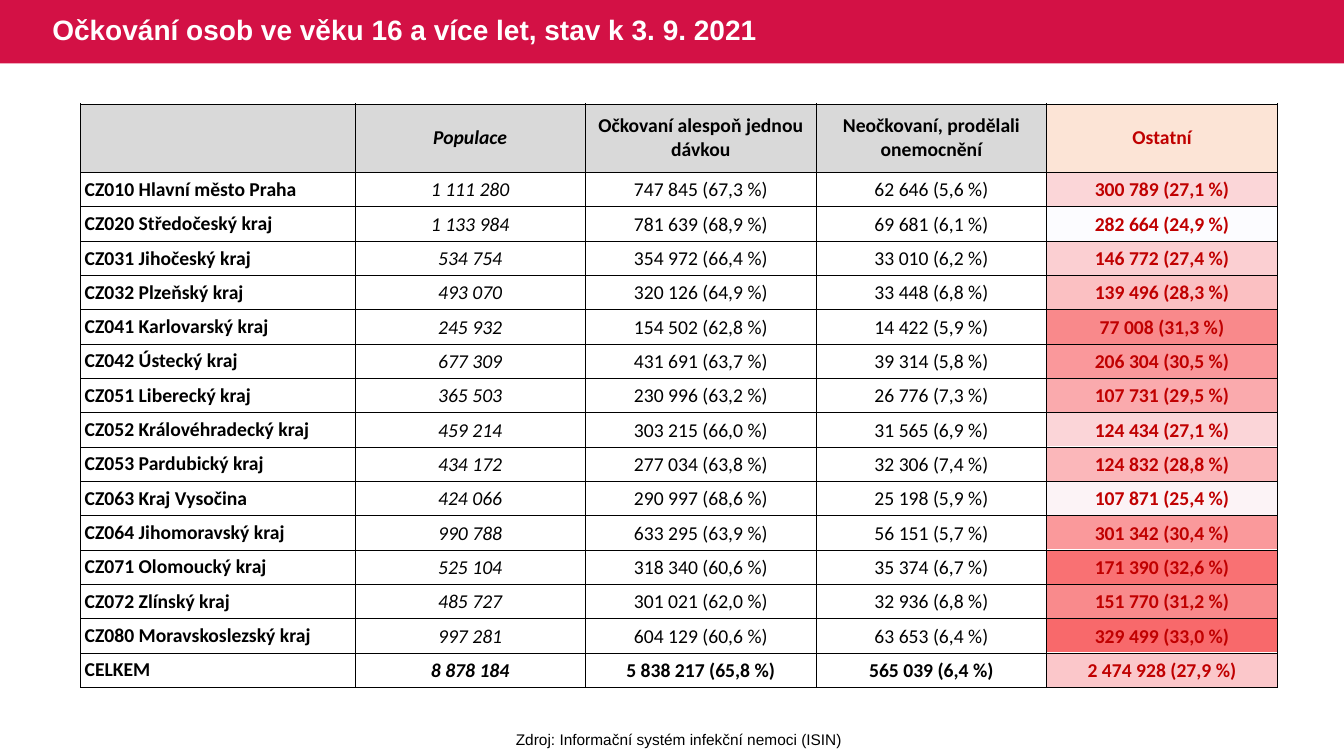
from dataclasses import dataclass

from lxml.etree import SubElement
from pptx import Presentation
from pptx.dml.color import RGBColor
from pptx.enum.shapes import MSO_SHAPE
from pptx.enum.text import MSO_ANCHOR, PP_ALIGN
from pptx.oxml.ns import qn
from pptx.util import Inches, Pt


@dataclass(frozen=True)
class Theme:
    """Colours, fonts and type sizes of the slide."""
    banner: str = "D31145"
    header: str = "D9D9D9"
    header_accent: str = "FCE4D6"
    accent: str = "C00000"
    ink: str = "000000"
    white: str = "FFFFFF"
    heading_font: str = "Arial"
    table_font: str = "Calibri"
    title_size: int = 20
    table_size: int = 14
    source_size: int = 11
    border_width: float = 0.5


HEADERS = ("", "Populace", "Očkovaní alespoň jednou dávkou",
           "Neočkovaní, prodělali onemocnění", "Ostatní")
REGIONS = (
    ("CZ010 Hlavní město Praha", "1 111 280", "747 845 (67,3 %)", "62 646 (5,6 %)", "300 789 (27,1 %)"),
    ("CZ020 Středočeský kraj", "1 133 984", "781 639 (68,9 %)", "69 681 (6,1 %)", "282 664 (24,9 %)"),
    ("CZ031 Jihočeský kraj", "534 754", "354 972 (66,4 %)", "33 010 (6,2 %)", "146 772 (27,4 %)"),
    ("CZ032 Plzeňský kraj", "493 070", "320 126 (64,9 %)", "33 448 (6,8 %)", "139 496 (28,3 %)"),
    ("CZ041 Karlovarský kraj", "245 932", "154 502 (62,8 %)", "14 422 (5,9 %)", "77 008 (31,3 %)"),
    ("CZ042 Ústecký kraj", "677 309", "431 691 (63,7 %)", "39 314 (5,8 %)", "206 304 (30,5 %)"),
    ("CZ051 Liberecký kraj", "365 503", "230 996 (63,2 %)", "26 776 (7,3 %)", "107 731 (29,5 %)"),
    ("CZ052 Královéhradecký kraj", "459 214", "303 215 (66,0 %)", "31 565 (6,9 %)", "124 434 (27,1 %)"),
    ("CZ053 Pardubický kraj", "434 172", "277 034 (63,8 %)", "32 306 (7,4 %)", "124 832 (28,8 %)"),
    ("CZ063 Kraj Vysočina", "424 066", "290 997 (68,6 %)", "25 198 (5,9 %)", "107 871 (25,4 %)"),
    ("CZ064 Jihomoravský kraj", "990 788", "633 295 (63,9 %)", "56 151 (5,7 %)", "301 342 (30,4 %)"),
    ("CZ071 Olomoucký kraj", "525 104", "318 340 (60,6 %)", "35 374 (6,7 %)", "171 390 (32,6 %)"),
    ("CZ072 Zlínský kraj", "485 727", "301 021 (62,0 %)", "32 936 (6,8 %)", "151 770 (31,2 %)"),
    ("CZ080 Moravskoslezský kraj", "997 281", "604 129 (60,6 %)", "63 653 (6,4 %)", "329 499 (33,0 %)"),
    ("CELKEM", "8 878 184", "5 838 217 (65,8 %)", "565 039 (6,4 %)", "2 474 928 (27,9 %)"),
)
SHADES = ("FBD6D8", "FCFCFF", "FBCFD2", "FBC0C2", "F9898B", "FA989B", "FAAAAD", "FBD5D8",
          "FBB7BA", "FCF3F6", "FA999B", "F97173", "F98A8C", "F8696B", "FBC7CA")


class SlideBuilder:
    """Draws styled elements on the current slide."""

    def __init__(self, page, theme):
        """Keep the slide and its theme."""
        self.page = page
        self.theme = theme

    def style(self, paragraph, font, size, color, bold=False, italic=False):
        """Set the font of a whole paragraph."""
        paragraph.font.name = font
        paragraph.font.size = Pt(size)
        paragraph.font.color.rgb = RGBColor.from_string(color)
        paragraph.font.bold = bold
        paragraph.font.italic = italic

    def banner(self, left, top, width, height):
        """Add the coloured band behind the title."""
        band = self.page.shapes.add_shape(
            MSO_SHAPE.RECTANGLE, Inches(left), Inches(top), Inches(width), Inches(height))
        band.shadow.inherit = False
        self.fill(band, self.theme.banner)
        band.line.fill.background()

    def text(self, words, left, top, width, height, size, color,
             bold=False, align=PP_ALIGN.LEFT, wrap=True, spacing=1.0):
        """Add a one-paragraph text box."""
        box = self.page.shapes.add_textbox(
            Inches(left), Inches(top), Inches(width), Inches(height))
        frame = box.text_frame
        frame.word_wrap = wrap
        frame.vertical_anchor = MSO_ANCHOR.MIDDLE
        para = frame.paragraphs[0]
        para.text = words
        para.alignment = align
        para.line_spacing = spacing
        self.style(para, self.theme.heading_font, size, color, bold)

    def fill(self, target, color):
        """Give a shape or cell a solid fill, or none."""
        if color:
            target.fill.solid()
            target.fill.fore_color.rgb = RGBColor.from_string(color)
        else:
            target.fill.background()

    def borders(self, cell):
        """Outline a cell on all four sides."""
        properties = cell._tc.get_or_add_tcPr()
        for index, side in enumerate(("a:lnL", "a:lnR", "a:lnT", "a:lnB")):
            line = SubElement(properties, qn(side), w=str(Pt(self.theme.border_width)))
            fill = SubElement(line, qn("a:solidFill"))
            SubElement(fill, qn("a:srgbClr"), val=self.theme.ink)
            properties.insert(index, line)

    def grid(self, left, top, widths, heights):
        """Add an unbanded table with zero cell margins."""
        table = self.page.shapes.add_table(
            len(heights), len(widths), Inches(left), Inches(top),
            Inches(sum(widths)), Inches(sum(heights))).table
        table.first_row = table.horz_banding = False
        for column, width in zip(table.columns, widths):
            column.width = Inches(width)
        for row, height in zip(table.rows, heights):
            row.height = Inches(height)
        for cell in table.iter_cells():
            cell.margin_left = cell.margin_right = 0
            cell.margin_top = cell.margin_bottom = 0
        return table

    def shading(self, shades, left, top, width, row_height):
        """Add the colour scale behind the last column."""
        table = self.grid(left, top, [width], [row_height] * len(shades))
        for cell, shade in zip(table.iter_cells(), shades):
            self.fill(cell, shade)

    def region_table(self, headers, regions, left, top, widths, heights):
        """Add the bordered table of regions."""
        theme = self.theme
        table = self.grid(left, top, widths, heights)
        last_row, last_column = len(regions), len(headers) - 1
        for row, values in enumerate((headers, *regions)):
            for column, words in enumerate(values):
                accented = column == last_column
                cell = table.cell(row, column)
                cell.vertical_anchor = MSO_ANCHOR.MIDDLE
                cell.margin_left = cell.margin_right = Inches(0.01 if row and column else 0.04)
                cell.margin_top = Inches(0.01 if row and column else 0)
                header_fill = theme.header_accent if accented else theme.header
                self.fill(cell, None if row else header_fill)
                self.borders(cell)
                para = cell.text_frame.paragraphs[0]
                para.text = words
                para.alignment = PP_ALIGN.CENTER if column else PP_ALIGN.LEFT
                self.style(para, theme.table_font, theme.table_size,
                           theme.accent if accented else theme.ink,
                           bold=row in (0, last_row) or column in (0, last_column),
                           italic=column == 1)


def main():
    """Build and save the vaccination slide."""
    deck = Presentation()
    deck.slide_width, deck.slide_height = Inches(13.33), Inches(7.5)
    theme = Theme()
    builder = SlideBuilder(deck.slides.add_slide(deck.slide_layouts[6]), theme)
    builder.banner(0, 0, 13.33, 0.63)
    left, top, width, height = 0.8, 1.03, 11.87, 5.79
    name_width = 2.72
    value_width = (width - name_width) / (len(HEADERS) - 1)
    row_height = height / (len(REGIONS) + 2)
    header_height = 2 * row_height
    builder.shading(SHADES, left + width - value_width, top + header_height,
                    value_width, row_height)
    builder.text("Očkování osob ve věku 16 a více let, stav k 3. 9. 2021",
                 0.42, 0, 8.28, 0.63, theme.title_size, theme.white, bold=True, spacing=0.9)
    builder.region_table(HEADERS, REGIONS, left, top,
                         [name_width] + [value_width] * (len(HEADERS) - 1),
                         [header_height] + [row_height] * len(REGIONS))
    builder.text("Zdroj: Informační systém infekční nemoci (ISIN)",
                 5.01, 7.19, 3.45, 0.29, theme.source_size, theme.ink,
                 align=PP_ALIGN.CENTER, wrap=False)
    deck.save("out.pptx")


if __name__ == "__main__":
    main()
